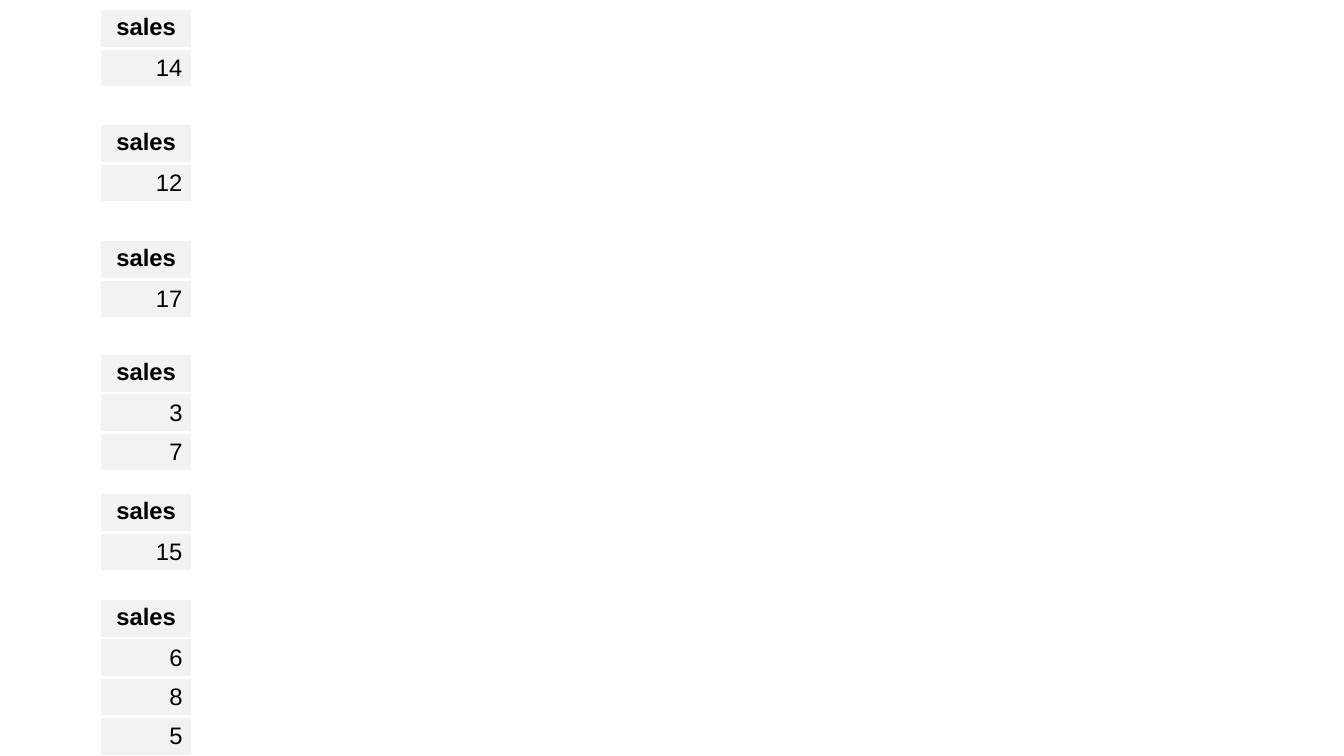
from dataclasses import dataclass

from lxml.etree import SubElement
from pptx import Presentation
from pptx.dml.color import RGBColor
from pptx.enum.text import MSO_ANCHOR, PP_ALIGN
from pptx.oxml.ns import qn
from pptx.slide import Slide
from pptx.table import _Cell
from pptx.util import Inches, Pt


@dataclass(frozen=True)
class Theme:
    font: str = "Arial"
    size: Pt = Pt(17)
    text: RGBColor = RGBColor(0x00, 0x00, 0x00)
    fill: RGBColor = RGBColor(0xF2, 0xF2, 0xF2)
    border: RGBColor = RGBColor(0xFF, 0xFF, 0xFF)
    border_width: Pt = Pt(2.25)


@dataclass(frozen=True)
class SalesTable:
    top: float
    values: tuple[int, ...]


THEME = Theme()
HEADING = "sales"
LEFT, WIDTH, ROW_HEIGHT = Inches(0.99), Inches(0.92), Inches(0.39)

TABLES = (
    SalesTable(0.09, (14,)),
    SalesTable(1.23, (12,)),
    SalesTable(2.38, (17,)),
    SalesTable(3.51, (3, 7)),
    SalesTable(4.89, (15,)),
    SalesTable(5.94, (6, 8, 5)),
)


def add_borders(cell: _Cell) -> None:
    """Draw all four borders; they must precede the fill in the cell's XML."""
    tc_pr = cell._tc.get_or_add_tcPr()
    for side in ("a:lnL", "a:lnR", "a:lnT", "a:lnB"):
        line = SubElement(tc_pr, qn(side), w=str(THEME.border_width))
        fill = SubElement(line, qn("a:solidFill"))
        SubElement(fill, qn("a:srgbClr"), val=str(THEME.border))


def format_cell(cell: _Cell, text: str, heading: bool) -> None:
    add_borders(cell)
    cell.fill.solid()
    cell.fill.fore_color.rgb = THEME.fill
    cell.margin_left = cell.margin_right = Inches(0.1)
    cell.margin_top = cell.margin_bottom = Inches(0.05 if heading else 0.04)
    cell.vertical_anchor = MSO_ANCHOR.TOP if heading else MSO_ANCHOR.MIDDLE

    cell.text = text
    p = cell.text_frame.paragraphs[0]
    p.alignment = PP_ALIGN.CENTER if heading else PP_ALIGN.RIGHT
    p.font.name = THEME.font
    p.font.size = THEME.size
    p.font.bold = heading
    p.font.color.rgb = THEME.text


def add_sales_table(s: Slide, sales: SalesTable) -> None:
    texts = (HEADING, *map(str, sales.values))
    table = s.shapes.add_table(
        len(texts), 1, LEFT, Inches(sales.top), WIDTH, ROW_HEIGHT * len(texts)
    ).table
    table.horz_banding = False
    for row, text in enumerate(texts):
        format_cell(table.cell(row, 0), text, heading=row == 0)


# Blank slide
prs = Presentation()
prs.slide_width, prs.slide_height = Inches(13.33), Inches(7.5)
s = prs.slides.add_slide(prs.slide_layouts[6])

# Column of sales tables
for sales in TABLES:
    add_sales_table(s, sales)

prs.save("out.pptx")
